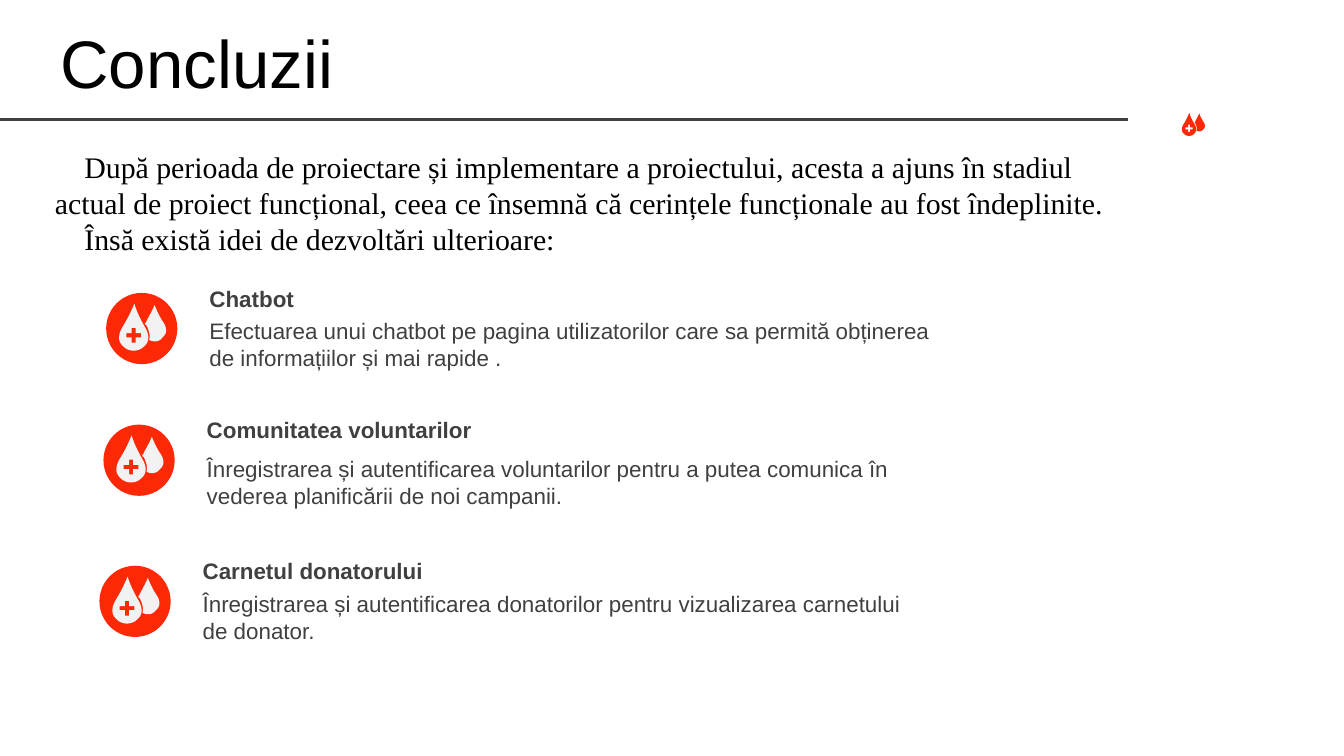
from pptx import Presentation
from pptx.dml.color import RGBColor
from pptx.enum.shapes import MSO_CONNECTOR as CONNECTOR, MSO_SHAPE as SHAPE
from pptx.enum.text import MSO_ANCHOR as ANCHOR, PP_ALIGN as ALIGN
from pptx.oxml.ns import qn
from pptx.util import Inches, Pt
from lxml.etree import SubElement

RED = RGBColor(0xFD, 0x29, 0x06)
PALE = RGBColor(0xF2, 0xF2, 0xF2)
GREY = RGBColor(0x40, 0x40, 0x40)
BLACK = RGBColor(0, 0, 0)

# Blood drop outlines in hundredths of an inch, measured from the large drop's tip.
# A point is a corner; three points together are a Bezier curve.
LARGE_DROP = [(0, 0), ((2, 7), (5, 12), (7, 16)), ((11, 22), (12, 28), (7, 32)),
              ((3, 36), (-4, 36), (-8, 32)), ((-13, 28), (-12, 22), (-8, 16)),
              ((-5, 11), (-3, 7), (0, 0))]
SMALL_DROP = [(15, 1), ((17, 6), (19, 10), (21, 13)), ((24, 17), (25, 22), (21, 25)),
              ((19, 28), (15, 29), (11, 27)), ((12, 24), (11, 20), (9, 16)),
              ((8, 16), (8, 15), (8, 15)), ((8, 14), (9, 14), (9, 13)),
              ((11, 9), (13, 6), (15, 1))]
CROSS = [(1, 18), (-2, 18), (-2, 22), (-6, 22), (-6, 25), (-2, 25),
         (-2, 29), (1, 29), (1, 25), (5, 25), (5, 22), (1, 22)]


def flatten(outline, steps=10):
    """Turn corners and Bezier curves into a list of points."""
    points = []
    for part in outline:
        if len(part) == 2:
            points.append(part)
            continue
        curve = (points[-1], *part)
        for step in range(1, steps + 1):
            t = step / steps
            weights = ((1 - t) ** 3, 3 * t * (1 - t) ** 2, 3 * t ** 2 * (1 - t), t ** 3)
            points.append(tuple(sum(w * p[axis] for w, p in zip(weights, curve))
                                for axis in (0, 1)))
    return points


class SlideWriter:
    sans, serif = "Arial", "Times New Roman"

    def __init__(self, slide):
        self.slide = slide
        self.shapes = slide.shapes

    def run(self, paragraph, text, size, font, color, bold=False):
        run = paragraph.add_run()
        run.text = text
        run.font.size, run.font.name, run.font.bold = Pt(size), font, bold
        run.font.color.rgb = color

    def title(self, text, left, top, width, height):
        title = self.shapes.title
        title.left, title.top = Inches(left), Inches(top)
        title.width, title.height = Inches(width), Inches(height)
        title.text_frame.vertical_anchor = ANCHOR.MIDDLE
        paragraph = title.text_frame.paragraphs[0]
        paragraph.alignment = ALIGN.LEFT
        self.run(paragraph, text, 36, self.sans, BLACK)

    def text(self, lines, left, top, width, height, size, font, color, bold=False):
        """Write one paragraph for each pair of first-line indent and text."""
        box = self.shapes.add_textbox(Inches(left), Inches(top), Inches(width), Inches(height))
        frame = box.text_frame
        frame.word_wrap = True
        for number, (indent, line) in enumerate(lines):
            paragraph = frame.add_paragraph() if number else frame.paragraphs[0]
            if indent:
                paragraph._p.get_or_add_pPr().set("indent", str(Inches(indent)))
            self.run(paragraph, line, size, font, color, bold)

    def rule(self, x1, x2, y):
        line = self.shapes.add_connector(CONNECTOR.STRAIGHT, Inches(x1), Inches(y),
                                         Inches(x2), Inches(y))
        line.line.color.rgb, line.line.width = GREY, Pt(1.5)
        SubElement(line._element.spPr, qn("a:effectLst"))

    def paint(self, shape, color):
        shape.shadow.inherit = False
        shape.fill.solid()
        shape.fill.fore_color.rgb = color
        shape.line.fill.background()

    def disc(self, left, top, size):
        disc = self.shapes.add_shape(SHAPE.OVAL, Inches(left), Inches(top),
                                     Inches(size), Inches(size))
        self.paint(disc, RED)

    def drops(self, tip_x, tip_y, color, scale=1.0):
        builder = None
        for outline in (LARGE_DROP, SMALL_DROP, CROSS):
            start, *rest = [(Inches(tip_x + x * scale / 100), Inches(tip_y + y * scale / 100))
                            for x, y in flatten(outline)]
            if builder is None:
                builder = self.shapes.build_freeform(*start)
            else:
                builder.move_to(*start)
            builder.add_line_segments(rest, close=True)
        self.paint(builder.convert_to_shape(), color)

    def idea(self, heading, detail, left, top, width, gap):
        self.text([(0, detail)], left, top + gap, width, 0.5, 12, self.sans, GREY)
        self.text([(0, heading)], left, top, width, 0.3, 12, self.sans, GREY, bold=True)
        self.disc(left - 0.67, top + 0.11, 0.53)
        self.drops(left - 0.46, top + 0.19, PALE)


def main():
    deck = Presentation()
    deck.slide_width = Inches(10)
    deck.slide_height = deck.slide_width * 9 // 16
    writer = SlideWriter(deck.slides.add_slide(deck.slide_layouts[5]))

    # Header
    writer.rule(-0.01, 8.39, 0.89)
    writer.title("Concluzii", 0.35, 0.14, 8.03, 0.63)

    # Introduction
    writer.text([(0.22, "După perioada de proiectare și implementare a proiectului, "
                        "acesta a ajuns în stadiul"),
                 (0, "actual de proiect funcțional, ceea ce însemnă că cerințele "
                     "funcționale au fost îndeplinite."),
                 (0.22, "Însă există idei de dezvoltări ulterioare:")],
                0.31, 1.06, 8.08, 0.91, 16, writer.serif, BLACK)

    # Ideas for further development
    ideas = [
        ("Chatbot",
         "Efectuarea unui chatbot pe pagina utilizatorilor care sa permită obținerea "
         "de informațiilor și mai rapide .", 1.46, 2.07, 5.75, 0.24),
        ("Comunitatea voluntarilor",
         "Înregistrarea și autentificarea voluntarilor pentru a putea comunica în "
         "vederea planificării de noi campanii.", 1.44, 3.05, 5.76, 0.29),
        ("Carnetul donatorului",
         "Înregistrarea și autentificarea donatorilor pentru vizualizarea carnetului "
         "de donator.", 1.41, 4.1, 5.56, 0.24),
    ]
    for idea in ideas:
        writer.idea(*idea)

    # Small drops beside the header rule
    writer.drops(8.85, 0.84, RED, scale=0.49)

    deck.save("out.pptx")


if __name__ == "__main__":
    main()
